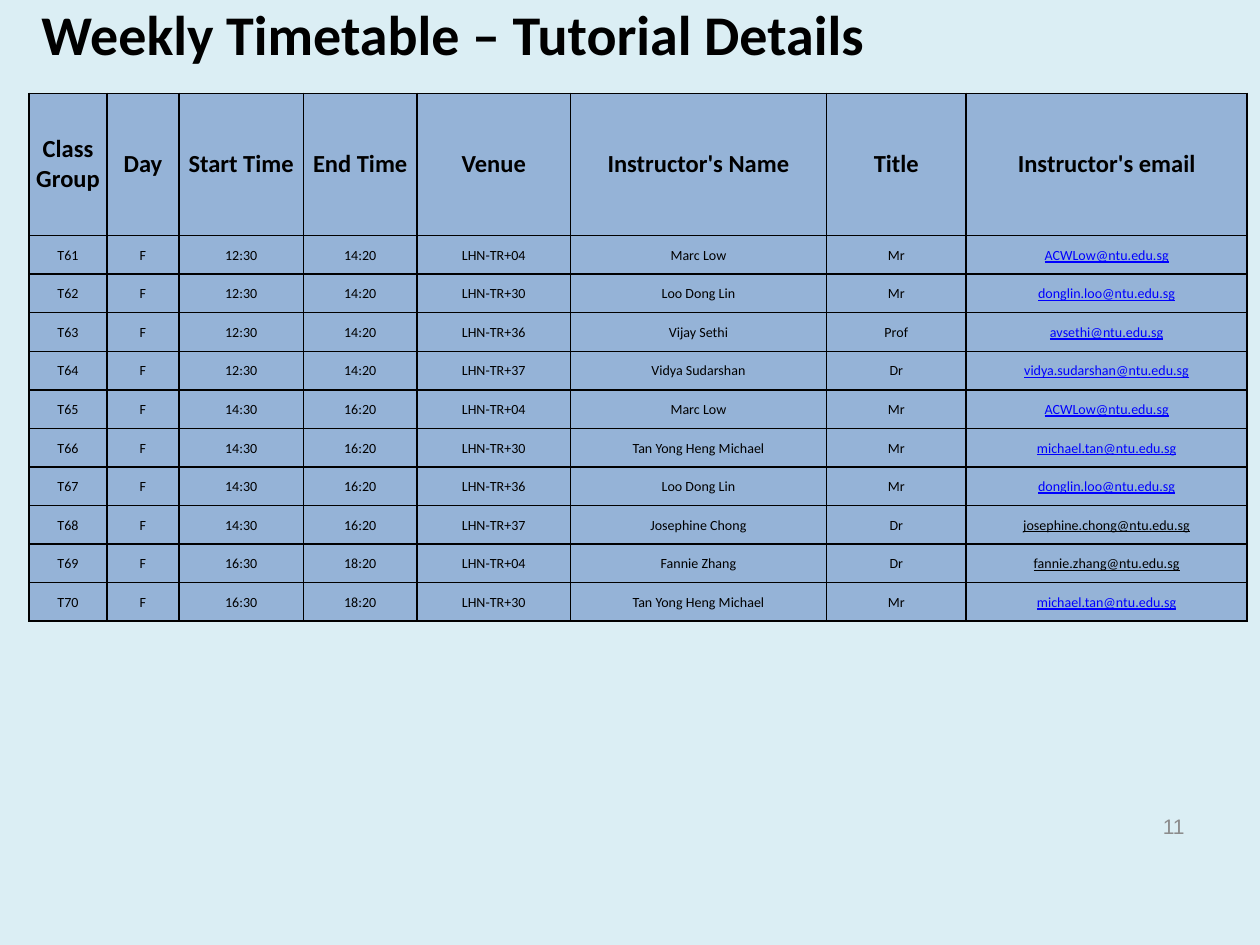
import dataclasses
import typing

import lxml.etree
import pptx
import pptx.dml.color
import pptx.enum.text
import pptx.oxml.ns
import pptx.util

Inches = pptx.util.Inches
Pt = pptx.util.Pt
PP_ALIGN = pptx.enum.text.PP_ALIGN
MIDDLE = pptx.enum.text.MSO_ANCHOR.MIDDLE

BACKGROUND = "DBEEF4"
CELL_BLUE = "95B3D7"
BLACK = "000000"
LINK_BLUE = "0000FF"
GREY = "8C8C8C"

COLUMNS = {
    "Class Group": 0.62,
    "Day": 0.57,
    "Start Time": 0.99,
    "End Time": 0.9,
    "Venue": 1.22,
    "Instructor's Name": 2.03,
    "Title": 1.11,
    "Instructor's email": 2.23,
}
HEADER_HEIGHT = 1.13
ROW_HEIGHT = 0.306


@dataclasses.dataclass(frozen=True)
class Instructor:
    name: str
    title: str
    email: str
    email_color: str = LINK_BLUE


@dataclasses.dataclass(frozen=True)
class Tutorial:
    group: str
    start: str
    end: str
    venue: str
    instructor: Instructor
    day: str = "F"

    def values(self) -> list[str]:
        return [self.group, self.day, self.start, self.end, self.venue,
                self.instructor.name, self.instructor.title, self.instructor.email]


LOW = Instructor("Marc Low", "Mr", "ACWLow@ntu.edu.sg")
LOO = Instructor("Loo Dong Lin", "Mr", "donglin.loo@ntu.edu.sg")
SETHI = Instructor("Vijay Sethi", "Prof", "avsethi@ntu.edu.sg")
SUDARSHAN = Instructor("Vidya Sudarshan", "Dr", "vidya.sudarshan@ntu.edu.sg")
TAN = Instructor("Tan Yong Heng Michael", "Mr", "michael.tan@ntu.edu.sg")
CHONG = Instructor("Josephine Chong", "Dr", "josephine.chong@ntu.edu.sg", BLACK)
ZHANG = Instructor("Fannie Zhang", "Dr", "fannie.zhang@ntu.edu.sg", BLACK)

TUTORIALS = [
    Tutorial("T61", "12:30", "14:20", "LHN-TR+04", LOW),
    Tutorial("T62", "12:30", "14:20", "LHN-TR+30", LOO),
    Tutorial("T63", "12:30", "14:20", "LHN-TR+36", SETHI),
    Tutorial("T64", "12:30", "14:20", "LHN-TR+37", SUDARSHAN),
    Tutorial("T65", "14:30", "16:20", "LHN-TR+04", LOW),
    Tutorial("T66", "14:30", "16:20", "LHN-TR+30", TAN),
    Tutorial("T67", "14:30", "16:20", "LHN-TR+36", LOO),
    Tutorial("T68", "14:30", "16:20", "LHN-TR+37", CHONG),
    Tutorial("T69", "16:30", "18:20", "LHN-TR+04", ZHANG),
    Tutorial("T70", "16:30", "18:20", "LHN-TR+30", TAN),
]


def rgb(color: str) -> pptx.dml.color.RGBColor:
    return pptx.dml.color.RGBColor.from_string(color)


def write_text(frame: typing.Any, text: str, *, size: float, color: str = BLACK,
               font: str = "Calibri", bold: bool = False, underline: bool = False,
               align: typing.Any = PP_ALIGN.CENTER,
               line_spacing: float | None = None, space_after: float = 0) -> None:
    paragraph = frame.paragraphs[0]
    paragraph.alignment = align
    paragraph.line_spacing = line_spacing
    paragraph.space_after = Pt(space_after)
    run = paragraph.add_run()
    run.text = text
    run.font.size = Pt(size)
    run.font.name = font
    run.font.bold = bold
    run.font.underline = underline
    run.font.color.rgb = rgb(color)


def add_text_box(slide: typing.Any, left: float, top: float, width: float,
                 height: float, text: str, **text_format: typing.Any) -> None:
    frame = slide.shapes.add_textbox(
        Inches(left), Inches(top), Inches(width), Inches(height)).text_frame
    frame.word_wrap = True
    frame.vertical_anchor = MIDDLE
    write_text(frame, text, **text_format)


def add_borders(cell: typing.Any, color: str, width: float) -> None:
    qn = pptx.oxml.ns.qn
    properties = cell._tc.get_or_add_tcPr()
    for side in ("a:lnL", "a:lnR", "a:lnT", "a:lnB"):
        line = lxml.etree.SubElement(properties, qn(side), w=str(Pt(width)))
        fill = lxml.etree.SubElement(line, qn("a:solidFill"))
        lxml.etree.SubElement(fill, qn("a:srgbClr"), val=color)


def fill_cell(cell: typing.Any, text: str, side_margin: float,
              **text_format: typing.Any) -> None:
    cell.margin_left = cell.margin_right = Inches(side_margin)
    cell.margin_top = cell.margin_bottom = 0
    cell.vertical_anchor = MIDDLE
    add_borders(cell, BLACK, 1)
    cell.fill.solid()
    cell.fill.fore_color.rgb = rgb(CELL_BLUE)
    write_text(cell.text_frame, text, **text_format)


def add_timetable(slide: typing.Any, left: float, top: float) -> None:
    height = HEADER_HEIGHT + ROW_HEIGHT * len(TUTORIALS)
    timetable = slide.shapes.add_table(
        len(TUTORIALS) + 1, len(COLUMNS), Inches(left), Inches(top),
        Inches(sum(COLUMNS.values())), Inches(height)).table
    timetable.horz_banding = False

    # Column headings
    timetable.rows[0].height = Inches(HEADER_HEIGHT)
    for column, (heading, width) in enumerate(COLUMNS.items()):
        timetable.columns[column].width = Inches(width)
        fill_cell(timetable.cell(0, column), heading, 0, size=14, bold=True)

    # One row per tutorial, with the e-mail underlined in the last column
    for row, tutorial in enumerate(TUTORIALS, start=1):
        timetable.rows[row].height = Inches(ROW_HEIGHT)
        for column, value in enumerate(tutorial.values()):
            is_email = column == len(COLUMNS) - 1
            fill_cell(timetable.cell(row, column), value, 0.07, size=8,
                      color=tutorial.instructor.email_color if is_email else BLACK,
                      underline=is_email, line_spacing=1.07, space_after=8)


def main() -> None:
    presentation = pptx.Presentation()
    presentation.slide_width = Inches(10)
    presentation.slide_height = Inches(7.5)
    slide = presentation.slides.add_slide(presentation.slide_layouts[6])
    slide.background.fill.solid()
    slide.background.fill.fore_color.rgb = rgb(BACKGROUND)

    add_timetable(slide, 0.23, 0.74)

    # Heading and page number
    add_text_box(slide, 0.23, 0.13, 9, 0.27, "Weekly Timetable – Tutorial Details",
                 size=32, bold=True, align=PP_ALIGN.LEFT)
    add_text_box(slide, 7.17, 6.36, 2.33, 0.4, "11", size=12, font="Arial",
                 color=GREY, align=PP_ALIGN.RIGHT)

    presentation.save("out.pptx")


if __name__ == "__main__":
    main()
